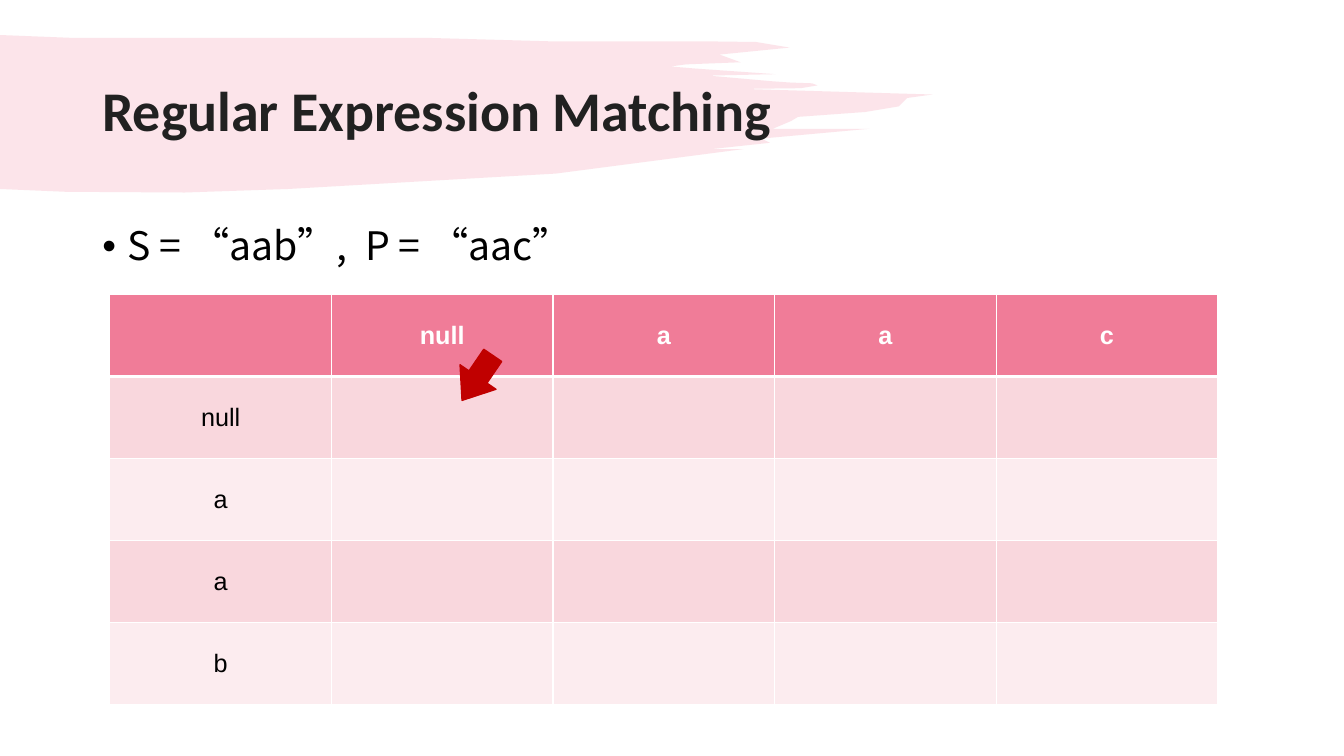
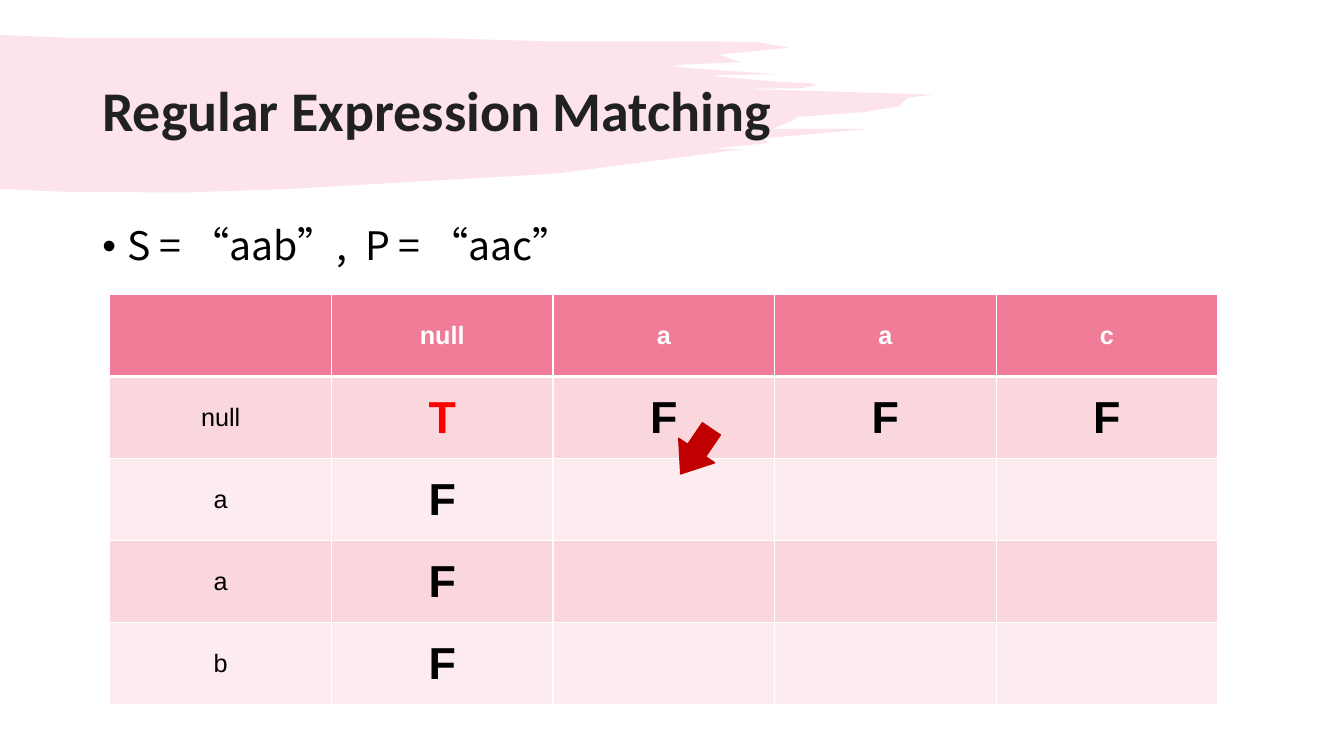
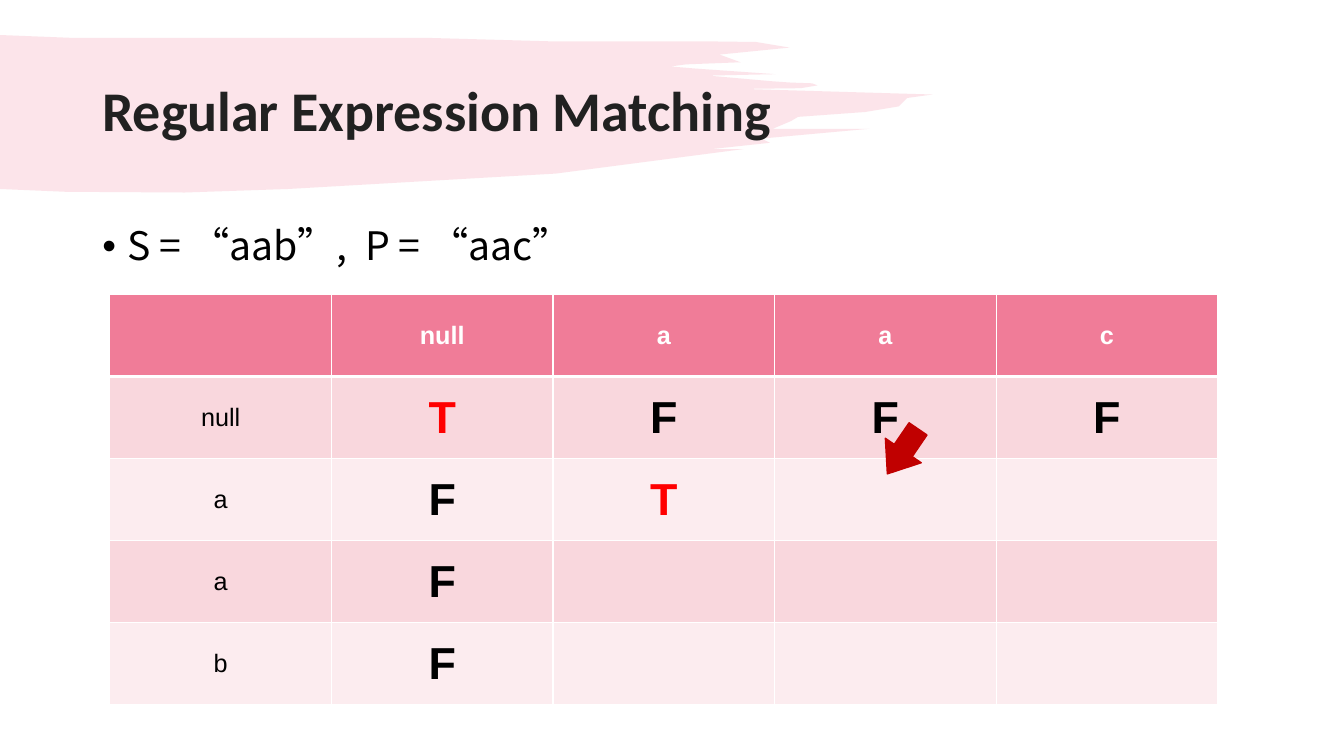
"""Build three slides that step through a regular expression matching table."""
from lxml import etree
from pptx import Presentation
from pptx.dml.color import RGBColor
from pptx.enum.shapes import MSO_SHAPE
from pptx.enum.text import MSO_ANCHOR, PP_ALIGN
from pptx.oxml.ns import qn
from pptx.util import Pt

MIDDLE, TOP = MSO_ANCHOR.MIDDLE, MSO_ANCHOR.TOP
CENTER, LEFT = PP_ALIGN.CENTER, PP_ALIGN.LEFT
ARROW = MSO_SHAPE.DOWN_ARROW

PINK, ROSE, BLUSH, WHITE = "F07C98", "F9D7DD", "FCECEF", "FFFFFF"
INK, BLACK, RED, DARK = "212121", "000000", "FF0000", "C00000"
SANS, HEAD, CJK = "Arial", "Calibri", "Noto Sans CJK TC"

TITLE = "Regular Expression Matching"
CASE = "S = “aab”,  P = “aac”"
COLS = ["null", "a", "a", "c"]
ROWS = ["null", "a", "a", "b"]
STEPS = [
    {"marks": ["", "", "", ""], "arrow": (325.5, 250.5)},
    {"marks": ["TFFF", "F", "F", "F"], "arrow": (481.7, 303)},
    {"marks": ["TFFF", "FT", "F", "F"], "arrow": (629.3, 303)},
]

BRUSH = [
    (0, 25), (50, 27), (134, 27), (303, 27), (392, 29.5), (500, 29.5),
    (540, 30), (564, 34), (514, 39), (529, 44.5), (490, 46), (479, 47.5),
    (497, 49), (554, 53), (506, 54), (551, 58), (565, 59), (580, 59.5),
    (584, 61), (572, 63), (530, 63.5), (666, 67.5), (648, 70), (642, 76),
    (618, 80), (570, 83.5), (565, 86.5), (552, 92), (621, 92), (544, 99),
    (550, 102), (508, 106.5), (531, 106.5), (397, 124), (206, 135),
    (132, 137.5), (47, 137), (0, 135),
]


def paint(part, color):
    """Give a fill or a font one solid colour."""
    if hasattr(part, "solid"):
        part.solid()
        part.fore_color.rgb = RGBColor.from_string(color)
    else:
        part.color.rgb = RGBColor.from_string(color)


def write(frame, text, size, face, color, bold=False, align=LEFT):
    """Write one run into the first paragraph of a text frame."""
    para = frame.paragraphs[0]
    para.alignment = align
    run = para.add_run()
    run.text = text
    font = run.font
    font.size, font.name, font.bold = Pt(size), face, bold
    paint(font, color)
    return para, run


def add_box(slide, top, high, anchor):
    """Add a wrapped text box across the content width."""
    box = slide.shapes.add_textbox(Pt(66), Pt(top), Pt(828), Pt(high))
    frame = box.text_frame
    frame.word_wrap = True
    frame.vertical_anchor = anchor
    return frame


def add_brush(slide):
    """Draw the pale brush stroke behind the title."""
    first, *rest = [(Pt(x), Pt(y)) for x, y in BRUSH]
    pen = slide.shapes.build_freeform(*first)
    pen.add_line_segments(rest)
    brush = pen.convert_to_shape()
    brush.shadow.inherit = False
    paint(brush.fill, PINK)
    tint = brush.fill._xPr.find(".//" + qn("a:srgbClr"))
    etree.SubElement(tint, qn("a:alpha"), val="20000")
    brush.line.fill.background()


def add_head(slide):
    """Add the title and the bulleted case line."""
    frame = add_box(slide, 28.8, 104.4, MIDDLE)
    para, _ = write(frame, TITLE, 40, HEAD, INK, True)
    para.line_spacing = 0.9
    frame = add_box(slide, 158.4, 327.6, TOP)
    props = frame.paragraphs[0]._p.get_or_add_pPr()
    props.set("marL", str(Pt(18)))
    props.set("indent", str(Pt(-18)))
    etree.SubElement(props, qn("a:buFont"), typeface=SANS)
    etree.SubElement(props, qn("a:buChar"), char="•")
    para, run = write(frame, CASE, 28, CJK, BLACK)
    para.line_spacing = 0.9
    props = run._r.get_or_add_rPr()
    props.set("lang", "en-US")
    props.set("altLang", "zh-TW")
    etree.SubElement(props, qn("a:ea"), typeface=CJK)


def edge(cell, side, width):
    """Draw one white cell border."""
    line = etree.SubElement(cell._tc.get_or_add_tcPr(), qn("a:ln" + side),
                            w=str(Pt(width)))
    fill = etree.SubElement(line, qn("a:solidFill"))
    etree.SubElement(fill, qn("a:srgbClr"), val=WHITE)


def add_grid(slide, marks):
    """Add the match table with the marks found so far."""
    data = [["", *COLS]]
    data += [[name, *row.ljust(len(COLS))] for name, row in zip(ROWS, marks)]
    wide, high = 158.26, 58.6
    count = len(data[0])
    grid = slide.shapes.add_table(len(data), count, Pt(78.5), Pt(210.3),
                                  Pt(wide * count), Pt(high * len(data))).table
    for col in grid.columns:
        col.width = Pt(wide)
    for r, row in enumerate(data):
        grid.rows[r].height = Pt(high)
        for c, text in enumerate(row):
            cell = grid.cell(r, c)
            for side in "LRTB":
                thick = (r, side) in ((0, "B"), (1, "T"))
                edge(cell, side, 3 if thick else 1)
            paint(cell.fill, PINK if r == 0 else ROSE if r % 2 else BLUSH)
            cell.vertical_anchor = MIDDLE
            if not text.strip():
                continue
            mark = r > 0 and c > 0
            color = WHITE if r == 0 else RED if mark and text == "T" else BLACK
            write(cell.text_frame, text, 32 if mark else 18, SANS, color,
                  mark or r == 0, CENTER)


def add_arrow(slide, left, top):
    """Point at the cell to fill next."""
    arrow = slide.shapes.add_shape(ARROW, Pt(left), Pt(top), Pt(31), Pt(38.9))
    arrow.rotation = 34.3
    arrow.adjustments[0], arrow.adjustments[1] = 0.5, 0.65
    arrow.shadow.inherit = False
    paint(arrow.fill, DARK)
    paint(arrow.line.fill, DARK)
    arrow.line.width = Pt(1)


def main():
    """Build and save the slides."""
    deck = Presentation()
    deck.slide_width, deck.slide_height = Pt(960), Pt(540)
    for step in STEPS:
        slide = deck.slides.add_slide(deck.slide_layouts[6])
        add_brush(slide)
        add_head(slide)
        add_grid(slide, step["marks"])
        add_arrow(slide, *step["arrow"])
    deck.save("out.pptx")


if __name__ == "__main__":
    main()
